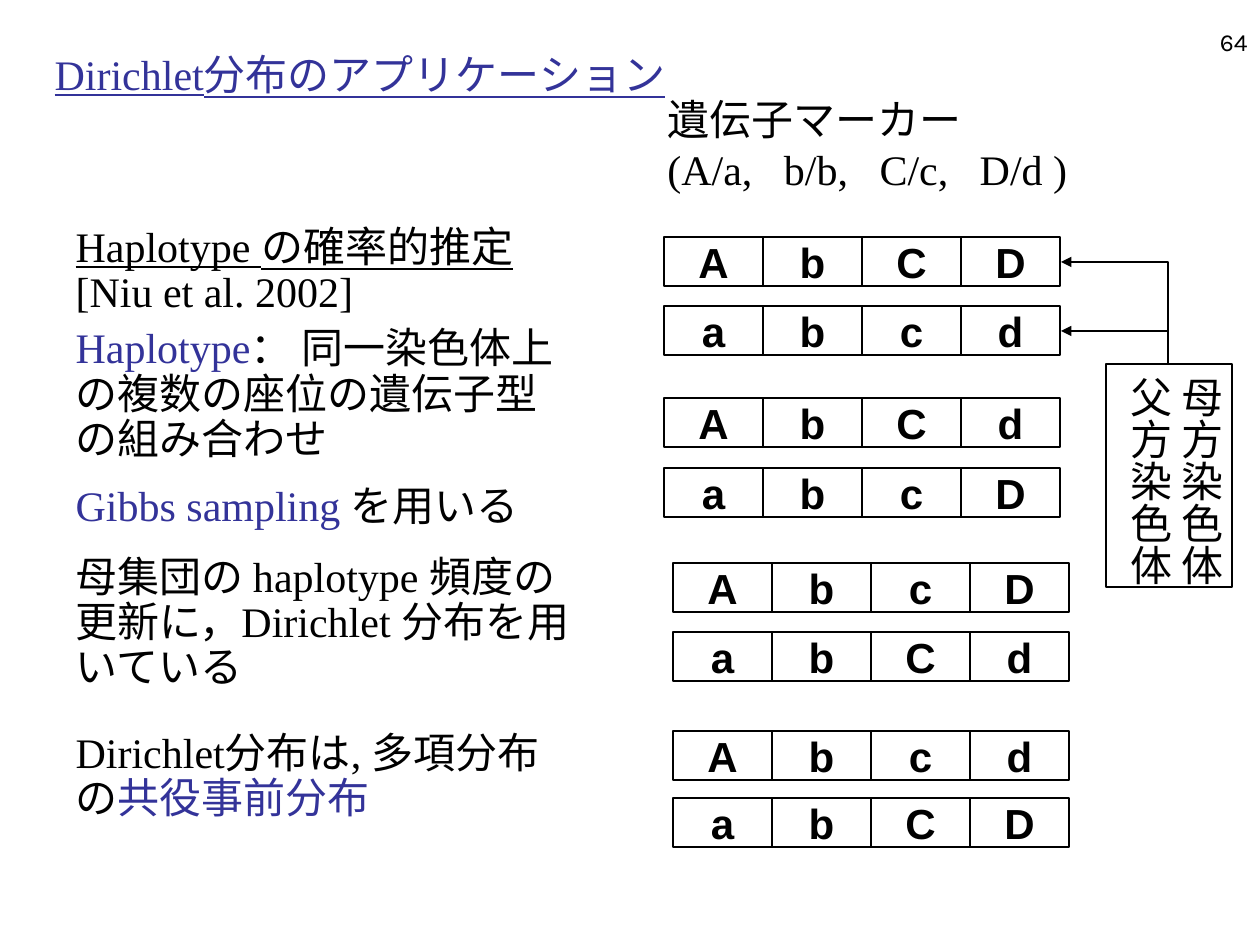
"""Build a slide on applying the Dirichlet distribution to haplotype estimation."""
import pptx
import pptx.dml.color
import pptx.enum.shapes
import pptx.enum.text
import pptx.oxml.ns
import pptx.util
from lxml import etree

PX = 914400 // 126
BLACK, WHITE, BLUE = "000000", "FFFFFF", "333399"
SERIF = "Times New Roman"
ALIGN = pptx.enum.text.PP_ALIGN
ANCHOR = pptx.enum.text.MSO_ANCHOR
RECTANGLE = pptx.enum.shapes.MSO_SHAPE.RECTANGLE


def rgb(value):
    return pptx.dml.color.RGBColor.from_string(value)


def style(paragraph, name, size, color=BLACK, align=ALIGN.LEFT):
    paragraph.alignment = align
    paragraph.font.name = name
    paragraph.font.size = pptx.util.Pt(size)
    paragraph.font.color.rgb = rgb(color)


presentation = pptx.Presentation()
presentation.slide_width = 1260 * PX
presentation.slide_height = 945 * PX
slide = presentation.slides.add_slide(presentation.slide_layouts[1])

title = slide.shapes.title
title.left, title.top, title.width, title.height = 42 * PX, 42 * PX, 1074 * PX, 63 * PX
title.text_frame.text = "Dirichlet分布のアプリケーション"
title.text_frame.vertical_anchor = ANCHOR.BOTTOM
title.text_frame.auto_size = pptx.enum.text.MSO_AUTO_SIZE.NONE
style(title.text_frame.paragraphs[0], SERIF, 24, BLUE)
title.text_frame.paragraphs[0].font.underline = True

pairs = [
    (664, [(237, "AbCD"), (306, "abcd")]),
    (664, [(398, "AbCd"), (468, "abcD")]),
    (673, [(563, "AbcD"), (632, "abCd")]),
    (673, [(731, "Abcd"), (798, "abCD")]),
]
for left, haplotypes in pairs:
    group = slide.shapes.add_group_shape()
    for top, alleles in haplotypes:
        for column, allele in enumerate(alleles):
            cell = group.shapes.add_shape(
                RECTANGLE, (left + column * 99) * PX, top * PX, 99 * PX, 49 * PX)
            cell.shadow.inherit = False
            cell.fill.solid()
            cell.fill.fore_color.rgb = rgb(WHITE)
            cell.line.color.rgb = rgb(BLACK)
            cell.line.width = pptx.util.Pt(0.75)
            cell.text_frame.text = allele
            cell.text_frame.word_wrap = False
            cell.text_frame.vertical_anchor = ANCHOR.MIDDLE
            style(cell.text_frame.paragraphs[0], "Arial", 24, align=ALIGN.CENTER)
            cell.text_frame.paragraphs[0].font.bold = True

markers = slide.shapes.add_textbox(655 * PX, 87 * PX, 425 * PX, 113 * PX)
markers.text_frame.text = "遺伝子マーカー\n(A/a,\u00a0  b/b,\u00a0  C/c,\u00a0  D/d )".replace("\u00a0", " ")
markers.text_frame.word_wrap = False
for paragraph in markers.text_frame.paragraphs:
    style(paragraph, SERIF, 24)

parents = slide.shapes.add_shape(RECTANGLE, 1106 * PX, 364 * PX, 126 * PX, 223 * PX)
parents.shadow.inherit = False
parents.fill.solid()
parents.fill.fore_color.rgb = rgb(WHITE)
parents.line.color.rgb = rgb(BLACK)
parents.line.width = pptx.util.Pt(0.75)
frame = parents.text_frame
frame.text = "母方染色体\n父方染色体"
frame.word_wrap = False
frame.vertical_anchor = ANCHOR.TOP
frame.margin_left = frame.margin_right = 6 * PX
frame.margin_top = frame.margin_bottom = 13 * PX
frame._txBody.bodyPr.set("vert", "eaVert")
for paragraph in frame.paragraphs:
    style(paragraph, SERIF, 24)

for top in (262, 331):
    arrow = slide.shapes.add_connector(
        pptx.enum.shapes.MSO_CONNECTOR.ELBOW, 1061 * PX, top * PX, 1168 * PX, 363 * PX)
    arrow.line.color.rgb = rgb(BLACK)
    arrow.line.width = pptx.util.Pt(0.75)
    properties = arrow._element.spPr
    properties.find(pptx.oxml.ns.qn("a:prstGeom")).set("prst", "bentConnector2")
    etree.SubElement(arrow.line._ln, pptx.oxml.ns.qn("a:headEnd"), type="triangle")
    etree.SubElement(properties, pptx.oxml.ns.qn("a:effectLst"))

body = slide.placeholders[1]
body.left, body.top, body.width, body.height = 63 * PX, 220 * PX, 525 * PX, 610 * PX
body.text_frame.auto_size = pptx.enum.text.MSO_AUTO_SIZE.NONE
points = [
    (0, 0.9, [("Haplotype の確率的推定", BLACK, True), (" [Niu et al. 2002]", BLACK, False)]),
    (6, 0.9, [("Haplotype", BLUE, False),
              ("： 同一染色体上の複数の座位の遺伝子型の組み合わせ", BLACK, False)]),
    (6, 1.1, [("Gibbs sampling ", BLUE, False), ("を用いる", BLACK, False)]),
    (15, 0.9, [("母集団の haplotype 頻度の更新に，Dirichlet 分布を用いている", BLACK, False)]),
    (23, 0.9, [("Dirichlet分布は, 多項分布の", BLACK, False), ("共役事前分布", BLUE, False)]),
]
for index, (space, spacing, runs) in enumerate(points):
    paragraph = body.text_frame.paragraphs[0] if index == 0 else body.text_frame.add_paragraph()
    indents = paragraph._p.get_or_add_pPr()
    indents.set("marL", "0")
    indents.set("indent", "0")
    etree.SubElement(indents, pptx.oxml.ns.qn("a:buNone"))
    paragraph.space_before = pptx.util.Pt(space)
    paragraph.line_spacing = spacing
    style(paragraph, SERIF, 24)
    for text, color, underlined in runs:
        run = paragraph.add_run()
        run.text = text
        run.font.color.rgb = rgb(color)
        run.font.underline = underlined

number = slide.shapes.add_textbox(998 * PX, 0, 262 * PX, 63 * PX)
number.text_frame.text = "64"
number.text_frame.word_wrap = True
number.text_frame.vertical_anchor = ANCHOR.BOTTOM
style(number.text_frame.paragraphs[0], "Karla", 14, align=ALIGN.RIGHT)

presentation.save("out.pptx")
